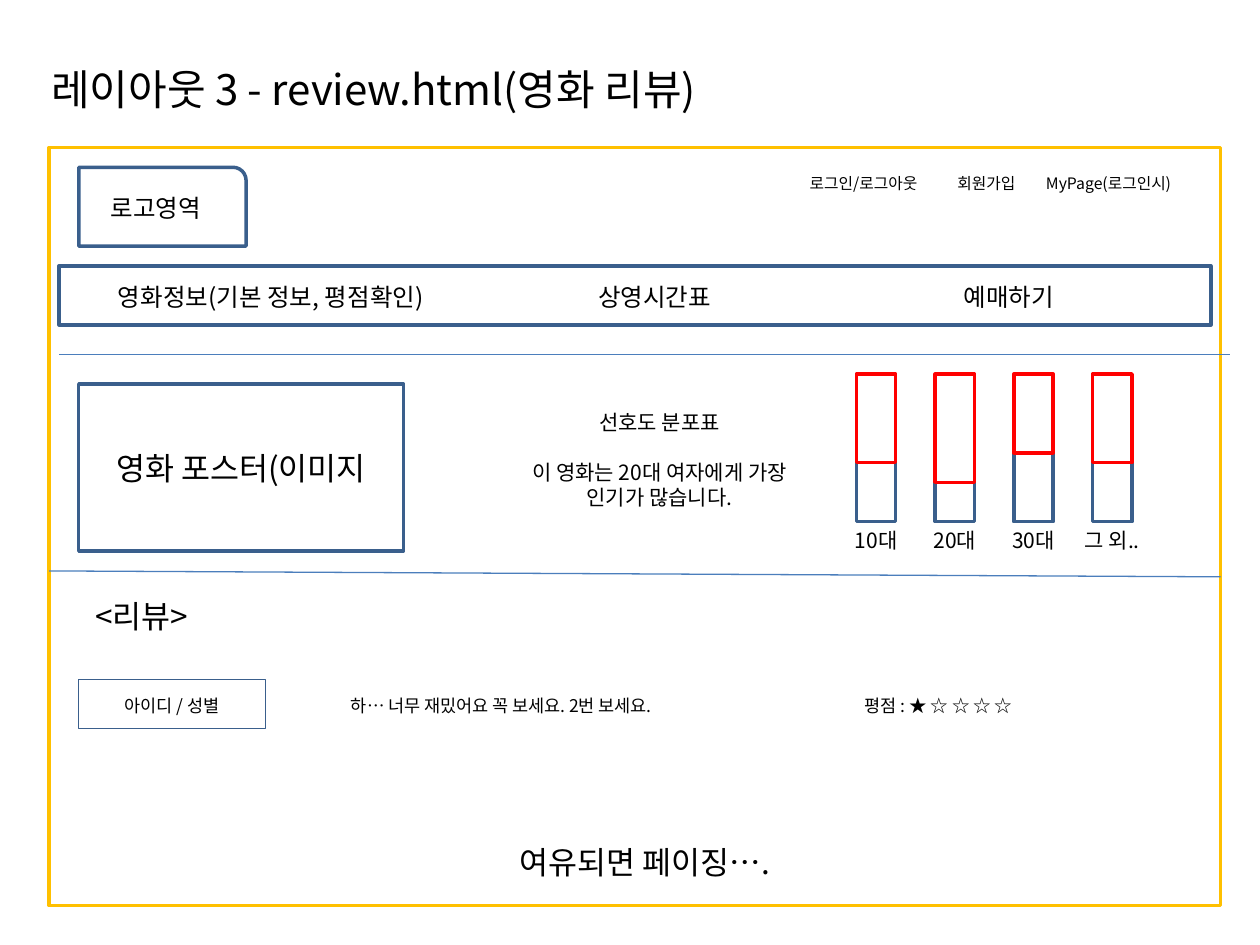
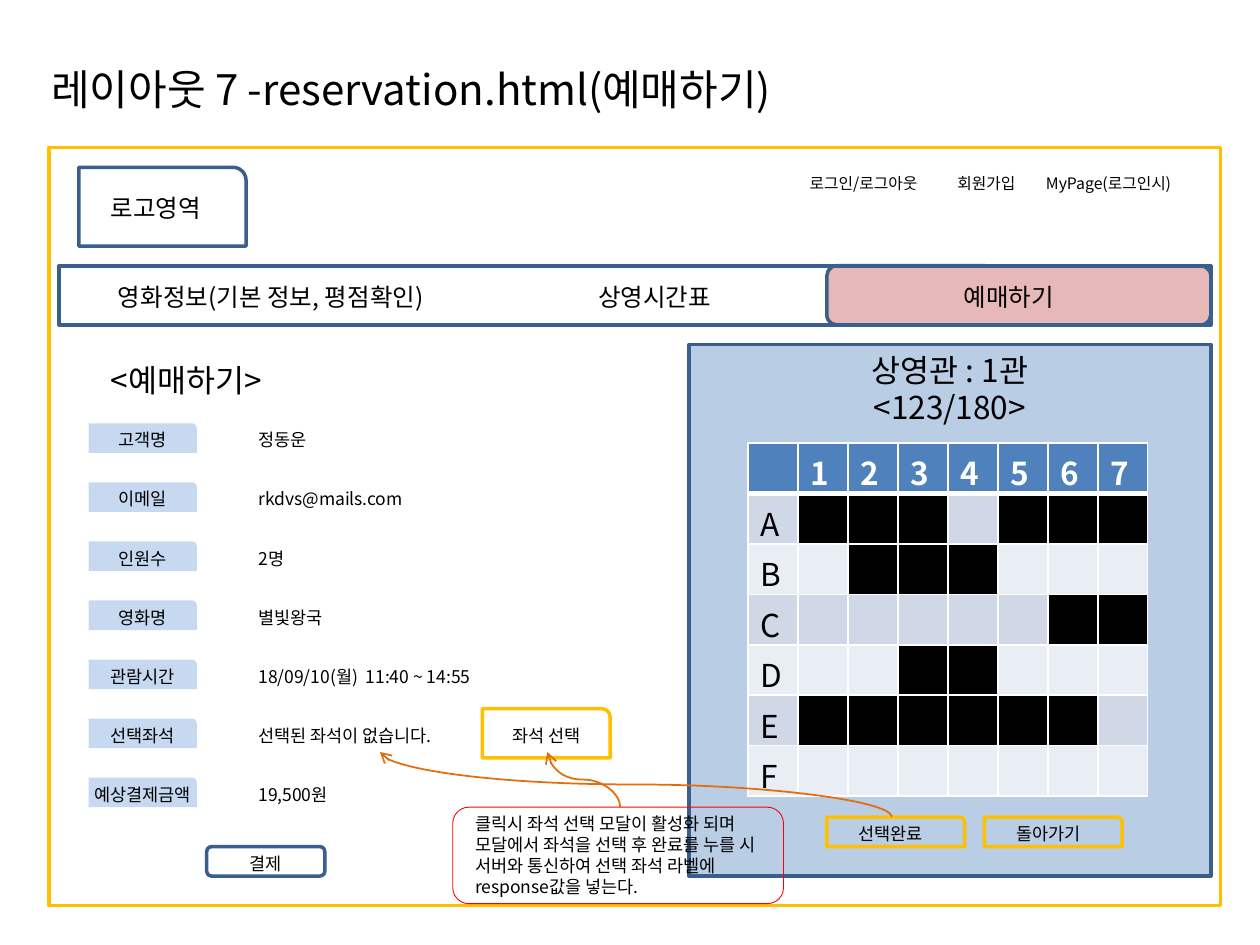
import pptx
import pptx.util
import pptx.dml.color
import pptx.enum.shapes
import pptx.enum.text
import pptx.oxml.ns
import lxml.etree

PX = 914400 / 64
FONT = "Noto Sans CJK KR"
BLACK, WHITE, RED = "000000", "FFFFFF", "FF0000"
NAVY, RULE_BLUE, AMBER, ORANGE = "3A5F8C", "4B7EBC", "FFC000", "E46C0A"
PANEL_BLUE, LABEL_BLUE, TAB_PINK = "B9CDE5", "C6D9F1", "E6B9B8"
HEADER_BLUE, BANDS = "4F81BD", ("D0D8E8", "E9EDF4")

SHAPE = pptx.enum.shapes.MSO_SHAPE
RECT, ROUND = SHAPE.RECTANGLE, SHAPE.ROUNDED_RECTANGLE
ONE_ROUND = SHAPE.ROUND_1_RECTANGLE
CONNECTOR = pptx.enum.shapes.MSO_CONNECTOR
ALIGN = pptx.enum.text.PP_ALIGN
ANCHOR = pptx.enum.text.MSO_ANCHOR
AUTO_SIZE = pptx.enum.text.MSO_AUTO_SIZE

AGE_GROUPS = [("10대", 235), ("20대", 245), ("30대", 230), ("그 외..", 235)]
BOOKING = [
    ("고객명", "정동운"),
    ("이메일", "rkdvs@mails.com"),
    ("인원수", "2명"),
    ("영화명", "별빛왕국"),
    ("관람시간", "18/09/10(월)  11:40 ~ 14:55"),
    ("선택좌석", "선택된 좌석이 없습니다."),
    ("예상결제금액", "19,500원"),
]
TAKEN_SEATS = {"A": "123567", "B": "234", "C": "67", "D": "34", "E": "123456", "F": ""}


def px(length):
    """Turn px into EMU."""
    return pptx.util.Emu(round(length * PX))


def rgb(color):
    """Turn a hex string into a colour."""
    return pptx.dml.color.RGBColor.from_string(color)


def apply(target, values):
    """Set each attribute named in a dict of format values."""
    for name, value in values.items():
        setattr(target, name, value)


def sub(parent, tag, **attributes):
    """Append a DrawingML element."""
    return lxml.etree.SubElement(parent, pptx.oxml.ns.qn(tag), attributes)


def add_run(paragraph, words, size, color=BLACK, bold=False):
    """Add a run in the shared font, for Latin and Korean letters."""
    run = paragraph.add_run()
    run.text = words
    apply(run.font, {"size": pptx.util.Pt(size), "name": FONT, "bold": bold})
    run.font.color.rgb = rgb(color)
    sub(run.font._element, "a:ea", typeface=FONT)


def add_text(slide, box, words, size, align=ALIGN.LEFT, gap=0):
    """Add a text box with one paragraph per line and a gap between them."""
    frame = slide.shapes.add_textbox(*map(px, box)).text_frame
    apply(frame, {"word_wrap": True, "auto_size": AUTO_SIZE.SHAPE_TO_FIT_TEXT})
    for index, line in enumerate(words.split("\n")):
        paragraph = frame.add_paragraph() if index else frame.paragraphs[0]
        apply(paragraph, {"alignment": align, "space_before": pptx.util.Pt(gap if index else 0)})
        add_run(paragraph, line, size)


def add_box(slide, kind, box, line=None, fill=None, weight=2):
    """Add a preset shape with an optional line and fill."""
    shape = slide.shapes.add_shape(kind, *map(px, box))
    shape.shadow.inherit = False
    if fill:
        shape.fill.solid()
        shape.fill.fore_color.rgb = rgb(fill)
    else:
        shape.fill.background()
    if line:
        shape.line.color.rgb = rgb(line)
        shape.line.width = pptx.util.Pt(weight)
    else:
        shape.line.fill.background()


def add_line(slide, kind, start, end, color, weight):
    """Add a connector without a shadow."""
    line = slide.shapes.add_connector(kind, *map(px, start + end))
    line.line.color.rgb = rgb(color)
    line.line.width = pptx.util.Pt(weight)
    sub(line._element.spPr, "a:effectLst")
    return line


def add_curved_arrow(slide, start, end):
    """Add a curve that leaves upwards and points to the upper left."""
    arrow = add_line(slide, CONNECTOR.CURVE, start, end, ORANGE, 1)
    across, rise = start[0] - end[0], start[1] - end[1]
    middle_x, middle_y = (start[0] + end[0]) / 2, (start[1] + end[1]) / 2
    apply(arrow, {
        "left": px(middle_x - rise / 2), "top": px(middle_y - across / 2),
        "width": px(rise), "height": px(across),
    })
    transform = arrow._element.spPr.find(pptx.oxml.ns.qn("a:xfrm"))
    transform.attrib.pop("flipH", None)
    transform.set("flipV", "1")
    transform.set("rot", "16200000")
    sub(arrow.line._get_or_add_ln(), "a:tailEnd", type="arrow")


def add_button(slide, kind, box, words, line, text_width):
    """Add an outlined button with a small centred caption."""
    left, top, _, height = box
    add_box(slide, kind, box, line)
    add_text(slide, (left, top + (height - 15) // 2, text_width, 17), words, 10, ALIGN.CENTER)


def add_title(slide, words, width):
    """Place and format the title placeholder."""
    title = slide.shapes.title
    apply(title, dict(zip(("left", "top", "width", "height"), map(px, (14, 12, width, 63)))))
    apply(title.text_frame, {
        "vertical_anchor": ANCHOR.MIDDLE, "word_wrap": True, "auto_size": AUTO_SIZE.NONE,
    })
    heading = title.text_frame.paragraphs[0]
    heading.alignment = ALIGN.LEFT
    add_run(heading, " ", 28)
    add_run(heading, words, 24)


def add_site_frame(slide):
    """Add the page frame, member links, logo area and menu."""
    add_box(slide, RECT, (25, 75, 595, 385), AMBER)
    for left, width, words in (
        (405, 75, "로그인/로그아웃"), (480, 75, "회원가입"), (525, 80, "MyPage(로그인시)"),
    ):
        add_text(slide, (left, 85, width, 16), words, 9)
    add_box(slide, ONE_ROUND, (40, 85, 85, 40), NAVY)
    add_text(slide, (50, 95, 75, 22), "로고영역", 14)
    add_box(slide, RECT, (30, 135, 585, 30), NAVY)
    for left, width, words in (
        (265, 135, "상영시간표"), (460, 105, "예매하기"), (40, 195, "영화정보(기본 정보, 평점확인)"),
    ):
        add_text(slide, (left, 140, width, 22), words, 14, ALIGN.CENTER)


def add_age_bars(slide):
    """Add one split bar and label per age group."""
    top, bottom, step = 190, 265, 40
    for index, (age, split) in enumerate(AGE_GROUPS):
        left = 435 + step * index
        add_box(slide, RECT, (left, split, 20, bottom - split), NAVY)
        add_box(slide, RECT, (left, top, 20, split - top), RED)
        add_text(slide, (left - 15, bottom, 50, 19), age, 12, ALIGN.CENTER)


def fill_seat(cell, color, words="", text_color=BLACK, bold=False, bottom=1):
    """Format a seat cell with white borders, a fill and its text."""
    properties = cell._tc.get_or_add_tcPr()
    for side, weight in (("L", 1), ("R", 1), ("T", 1), ("B", bottom)):
        border = sub(properties, f"a:ln{side}", w=str(weight * 12700))
        sub(sub(border, "a:solidFill"), "a:srgbClr", val=WHITE)
    cell.fill.solid()
    cell.fill.fore_color.rgb = rgb(color)
    if words:
        add_run(cell.text_frame.paragraphs[0], words, 18, text_color, bold)


def add_seat_table(slide):
    """Add the seat map with taken seats in black."""
    rows, columns = len(TAKEN_SEATS) + 1, 8
    width, height = 203, 179
    seats = slide.shapes.add_table(rows, columns, *map(px, (380, 225, width, height))).table
    for column in seats.columns:
        column.width = px(width / columns)
    for row in seats.rows:
        row.height = px(height / rows)
    for number in range(columns):
        fill_seat(seats.cell(0, number), HEADER_BLUE, str(number or ""), WHITE, True, 3)
    for index, (letter, taken) in enumerate(TAKEN_SEATS.items()):
        band = BANDS[index % 2]
        fill_seat(seats.cell(index + 1, 0), band, letter)
        for number in range(1, columns):
            fill_seat(seats.cell(index + 1, number), BLACK if str(number) in taken else band)


def build_review(slide):
    """Build the film review page."""
    add_title(slide, "레이아웃 3 - review.html(영화 리뷰)", 552)
    add_site_frame(slide)
    add_line(slide, CONNECTOR.STRAIGHT, (30, 180), (625, 180), RULE_BLUE, 0.75)
    add_line(slide, CONNECTOR.STRAIGHT, (25, 290), (620, 293), RULE_BLUE, 0.75)
    add_box(slide, RECT, (40, 345, 95, 25), NAVY, weight=0.5)
    add_text(slide, (40, 350, 95, 17), "아이디 / 성별", 10, ALIGN.CENTER)
    add_text(slide, (172, 350, 250, 17), "하… 너무 재밌어요 꼭 보세요. 2번 보세요.", 10)
    add_text(slide, (433, 350, 167, 17), "평점 : ★ ☆ ☆ ☆ ☆", 10)
    add_box(slide, RECT, (40, 195, 165, 85), NAVY)
    add_text(slide, (40, 225, 165, 26), "영화 포스터(이미지", 18, ALIGN.CENTER)
    add_text(slide, (42, 300, 98, 26), "<리뷰>", 18)
    add_age_bars(slide)
    add_text(slide, (255, 205, 160, 58), "선호도 분포표\n이 영화는 20대 여자에게 가장 인기가 많습니다.",
             12, ALIGN.CENTER, gap=14)
    add_text(slide, (205, 425, 245, 26), "여유되면 페이징….", 18, ALIGN.CENTER)


def build_reservation(slide):
    """Build the ticket reservation page."""
    add_box(slide, RECT, (350, 175, 265, 270), NAVY, PANEL_BLUE)
    add_box(slide, ROUND, (420, 135, 195, 30), NAVY, TAB_PINK)
    add_title(slide, "레이아웃 7 -reservation.html(예매하기)", 606)
    add_site_frame(slide)
    add_text(slide, (50, 180, 140, 26), "<예매하기>", 18)
    for index, (label, value) in enumerate(BOOKING):
        top = 215 + 30 * index
        add_box(slide, ONE_ROUND, (45, top, 55, 15), fill=LABEL_BLUE)
        add_text(slide, (25, top, 95, 17), label, 10, ALIGN.CENTER)
        add_text(slide, (125, top, 135, 17), value, 10)
    add_button(slide, ONE_ROUND, (245, 360, 65, 25), "좌석 선택", AMBER, 65)
    add_seat_table(slide)
    add_text(slide, (400, 175, 165, 45), "상영관 : 1관\n<123/180>", 18, ALIGN.CENTER)
    add_box(slide, ROUND, (230, 410, 168, 49), RED, weight=0.5)
    add_text(slide, (235, 410, 159, 49), "클릭시 좌석 선택 모달이 활성화 되며 모달에서 좌석을 선택 후 완료를 누를 시 "
             "서버와 통신하여 선택 좌석 라벨에 response값을 넣는다.", 10)
    for left, words in ((420, "선택완료"), (500, "돌아가기")):
        add_button(slide, ONE_ROUND, (left, 415, 70, 15), words, AMBER, 65)
    add_curved_arrow(slide, (315, 410), (278, 382))
    add_curved_arrow(slide, (453, 415), (193, 382))
    add_button(slide, ROUND, (105, 430, 60, 15), "결제", NAVY, 60)


def main():
    """Build both layout slides and save them."""
    deck = pptx.Presentation()
    apply(deck, {"slide_width": px(640), "slide_height": px(480)})
    title_only = deck.slide_layouts[5]
    for build in (build_review, build_reservation):
        build(deck.slides.add_slide(title_only))
    deck.save("out.pptx")


if __name__ == "__main__":
    main()
